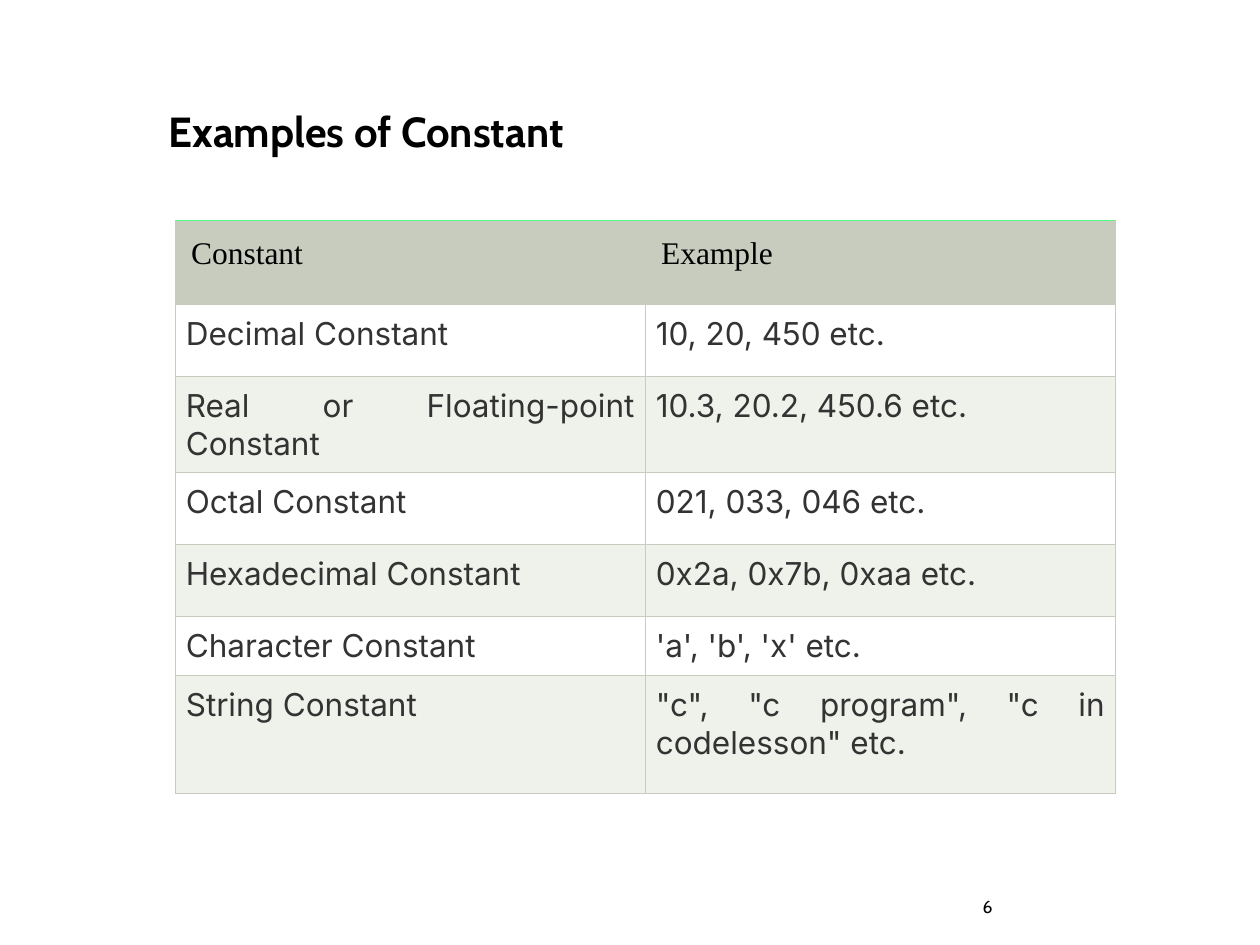
from pptx import Presentation
from pptx.dml.color import RGBColor as RGB
from pptx.enum.text import MSO_ANCHOR as Anchor, PP_ALIGN as Align
from pptx.oxml import parse_xml
from pptx.oxml.ns import nsdecls
from pptx.util import Pt

COLORS = {
    "black": "000000", "body": "333333", "white": "FFFFFF",
    "band": "EFF1EB", "grid": "C7CCBE", "accent": "50FF84",
}


def style(para, font, size, color, bold=False):
    para.font.name = font
    para.font.size = Pt(size)
    para.font.bold = bold
    para.font.color.rgb = RGB.from_string(COLORS[color])


def add_label(page, text, left, top, width, height, size, bold, anchor):
    box = page.shapes.add_textbox(Pt(left), Pt(top), Pt(width), Pt(height))
    frame = box.text_frame
    frame.word_wrap = True
    frame.vertical_anchor = anchor
    frame.text = text
    style(frame.paragraphs[0], "Cabin", size, "black", bold)


deck = Presentation()
deck.slide_width, deck.slide_height = Pt(720), Pt(540)
page = deck.slides.add_slide(deck.slide_layouts[6])

# Title and slide number
add_label(page, "Examples of Constant", 89.3, 56.9, 405.4, 36, 24, True, Anchor.TOP)
add_label(page, "6", 554.4, 491.8, 149.8, 36, 10, False, Anchor.BOTTOM)

# Table of constants
rows = [
    ("Constant", "Example"),
    ("Decimal Constant", "10, 20, 450 etc."),
    ("Real or Floating-point Constant", "10.3, 20.2, 450.6 etc."),
    ("Octal Constant", "021, 033, 046 etc."),
    ("Hexadecimal Constant", "0x2a, 0x7b, 0xaa etc."),
    ("Character Constant", "'a', 'b', 'x' etc."),
    ("String Constant", '"c", "c program", "c in codelesson" etc.'),
]
heights = [48, 41, 41, 41, 41, 34, 67.5]
table = page.shapes.add_table(
    len(rows), 2, Pt(100.2), Pt(126), Pt(537.2), Pt(sum(heights))).table
for column in table.columns:
    column.width = Pt(268.6)

for r, (texts, height) in enumerate(zip(rows, heights)):
    table.rows[r].height = Pt(height)
    header = r == 0
    fill = "grid" if header else ("band" if r % 2 == 0 else "white")
    inset = Pt(9 if header else 6)
    for c, text in enumerate(texts):
        cell = table.cell(r, c)
        cell.margin_left = cell.margin_right = inset
        cell.margin_top = cell.margin_bottom = inset
        cell.fill.solid()
        cell.fill.fore_color.rgb = RGB.from_string(COLORS[fill])
        cell.text = text
        para = cell.text_frame.paragraphs[0]
        if header:
            style(para, "Times New Roman", 18, "black")
        else:
            para.alignment = Align.JUSTIFY
            style(para, "Inter", 18, "body")
        # Cell borders come before the fill; the table's top edge is green
        properties = cell._tc.get_or_add_tcPr()
        for i, side in enumerate("LRTB"):
            color = COLORS["accent" if header and side == "T" else "grid"]
            properties.insert(i, parse_xml(
                f'<a:ln{side} {nsdecls("a")} w="{Pt(0.75)}"><a:solidFill>'
                f'<a:srgbClr val="{color}"/></a:solidFill></a:ln{side}>'))

deck.save("out.pptx")
